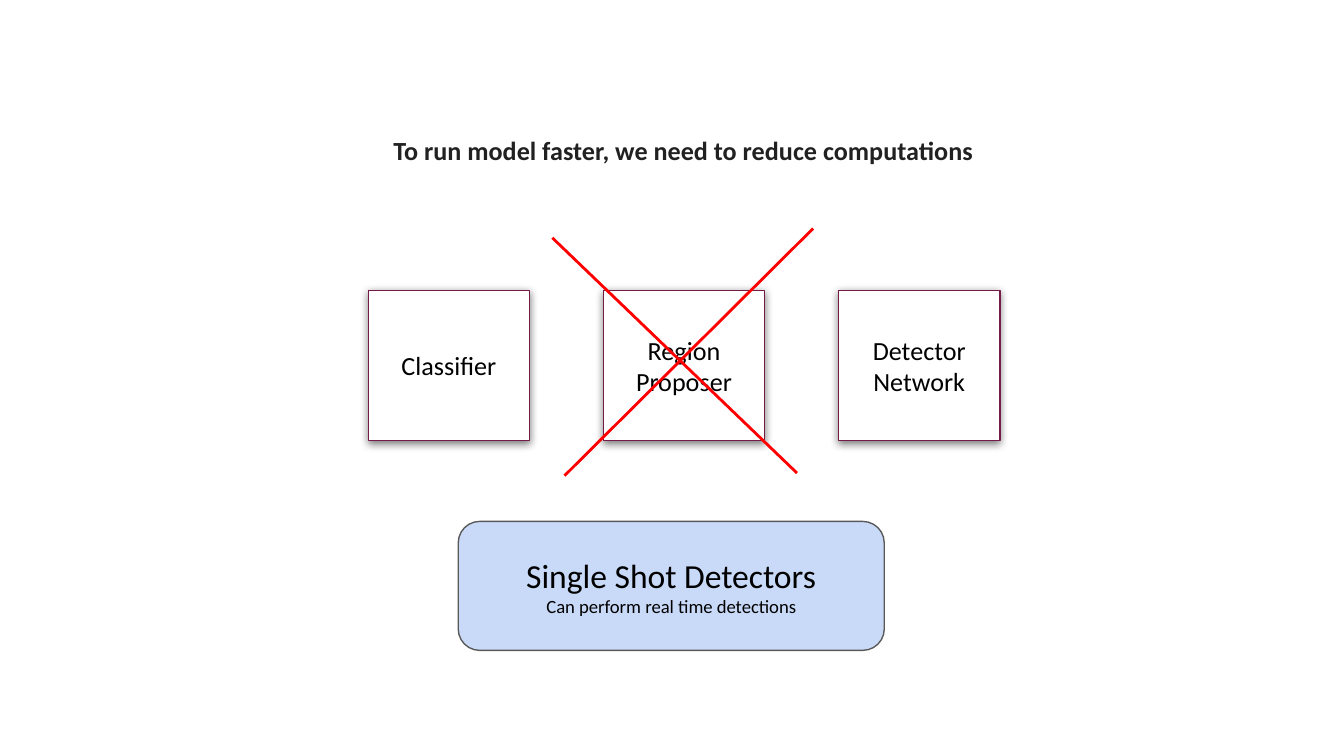
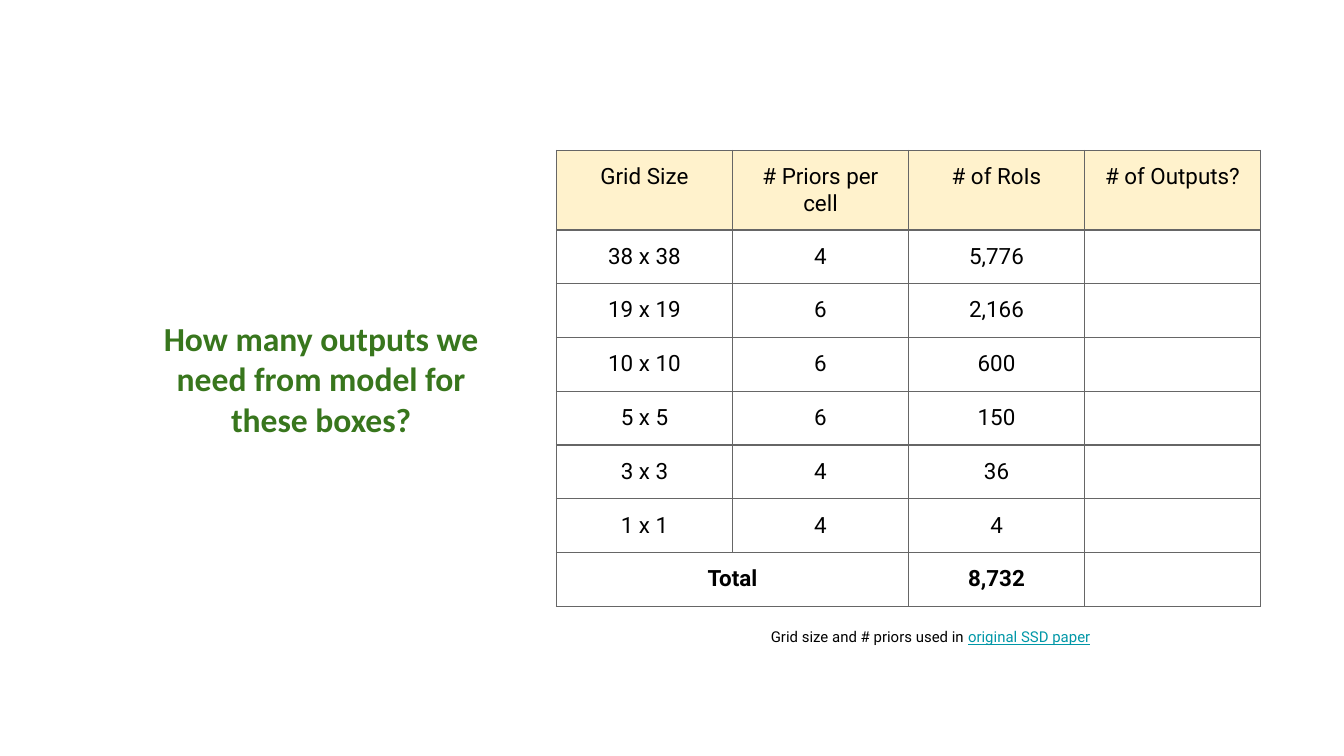
"""Build two slides on single shot detectors and their output count."""
from lxml.etree import SubElement
from pptx import Presentation
from pptx.dml.color import RGBColor
from pptx.enum.shapes import MSO_CONNECTOR as Link, MSO_SHAPE as Shape
from pptx.enum.text import MSO_ANCHOR as Anchor, MSO_AUTO_SIZE as Fit, PP_ALIGN as Align
from pptx.oxml.ns import qn
from pptx.util import Inches, Pt

HUES = {
    "ink": "000000", "head": "212121", "green": "38761D", "link": "0097A7",
    "white": "FFFFFF", "plum": "741B47", "blue": "C9DAF8", "gray": "595959",
    "red": "FF0000", "cream": "FFF2CC", "grid": "666666",
}
SANS, ROBOTO = "Calibri", "Roboto"

FASTER = "To run model faster, we need to reduce computations"
STAGES = ["Classifier", "Region Proposer", "Detector Network"]
CROSS = [((4.11, 1.77), (5.93, 3.52)), ((6.05, 1.7), (4.2, 3.54))]
ANSWER = [("Single Shot Detectors", 18), ("Can perform real time detections", 10)]

ASK = "How many outputs we need from model for these boxes?"
ROWS = [
    ("Grid Size", "# Priors per cell", "# of RoIs", "# of Outputs?"),
    ("38 x 38", "4", "5,776", ""),
    ("19 x 19", "6", "2,166", ""),
    ("10 x 10", "6", "600", ""),
    ("5 x 5", "6", "150", ""),
    ("3 x 3", "4", "36", ""),
    ("1 x 1", "4", "4", ""),
    ("Total", "", "8,732", ""),
]
NOTE = ("Grid size and # priors used in ", "original SSD paper")


def hue(name):
    return RGBColor.from_string(HUES[name])


def box(nums):
    return [Inches(n) for n in nums]


def style(run, size, face, color="ink", bold=False):
    font = run.font
    font.size, font.name, font.bold = Pt(size), face, bold
    font.color.rgb = hue(color)


def pad(frame, anchor=Anchor.MIDDLE):
    frame.margin_left = frame.margin_right = Inches(0.1)
    frame.margin_top = frame.margin_bottom = Inches(0.1)
    frame.word_wrap, frame.auto_size = True, Fit.NONE
    frame.vertical_anchor = anchor


def write(frame, lines, face, color="ink", bold=False):
    frame.text = "\n".join(text for text, _ in lines)
    for para, (_, size) in zip(frame.paragraphs, lines):
        para.alignment = Align.CENTER
        for run in para.runs:
            style(run, size, face, color, bold)


def start(deck, text, place, size, color):
    slide = deck.slides.add_slide(deck.slide_layouts[5])
    title = slide.shapes.title
    title.left, title.top, title.width, title.height = box(place)
    pad(title.text_frame)
    write(title.text_frame, [(text, size)], SANS, color, True)
    return slide


def panel(slide, kind, place, fill, edge, lines):
    shape = slide.shapes.add_shape(kind, *box(place))
    shape.shadow.inherit = False
    shape.fill.solid()
    shape.fill.fore_color.rgb = hue(fill)
    shape.line.color.rgb = hue(edge)
    shape.line.width = Pt(0.75)
    pad(shape.text_frame)
    write(shape.text_frame, lines, SANS)
    return shape


def shade(shape):
    glow = SubElement(shape._element.spPr.find(qn("a:effectLst")), qn("a:outerShdw"),
                      blurRad=str(Pt(4.5)), dist=str(Pt(1.5)), dir="5400000",
                      algn="bl", rotWithShape="0")
    tint = SubElement(glow, qn("a:srgbClr"), val=HUES["ink"])
    SubElement(tint, qn("a:alpha"), val="50000")


def strike(slide, head, tail):
    line = slide.shapes.add_connector(Link.STRAIGHT, *box(head + tail))
    line.line.color.rgb = hue("red")
    line.line.width = Pt(1.5)
    SubElement(line._element.spPr, qn("a:effectLst"))


def frame_cell(cell):
    props = cell._tc.get_or_add_tcPr()
    for side in "LRTB":
        edge = SubElement(props, qn(f"a:ln{side}"), w=str(Pt(0.75)))
        fill = SubElement(edge, qn("a:solidFill"))
        SubElement(fill, qn("a:srgbClr"), val=HUES["grid"])


def fill_cell(cell, text, first, last):
    frame_cell(cell)
    if first:
        cell.fill.solid()
        cell.fill.fore_color.rgb = hue("cream")
    else:
        cell.fill.background()
    cell.margin_left = cell.margin_right = Inches(0.1)
    cell.margin_top = cell.margin_bottom = Inches(0.1)
    if text:
        write(cell.text_frame, [(text, 12)], ROBOTO, bold=last)
    else:
        para = cell.text_frame.paragraphs[0]
        end = SubElement(para._p, qn("a:endParaRPr"), sz="1200")
        SubElement(end, qn("a:latin"), typeface=ROBOTO)


def grid(slide):
    count, wide = len(ROWS), len(ROWS[0])
    highs = [0.32] + [0.4] * (count - 1)
    place = box((4.14, 1.12, 1.31 * wide, sum(highs)))
    table = slide.shapes.add_table(count, wide, *place).table
    table.first_row = table.horz_banding = False
    for col in table.columns:
        col.width = Inches(1.31)
    for r, (row, high) in enumerate(zip(ROWS, highs)):
        table.rows[r].height = Inches(high)
        for c, text in enumerate(row):
            fill_cell(table.cell(r, c), text, r == 0, r == count - 1)
    table.cell(count - 1, 0).merge(table.cell(count - 1, 1))


def note(slide):
    frame = slide.shapes.add_textbox(*box((5.22, 4.57, 3.41, 0.62))).text_frame
    pad(frame, Anchor.TOP)
    para = frame.paragraphs[0]
    para.alignment = Align.CENTER
    for text, color in zip(NOTE, ("ink", "link")):
        run = para.add_run()
        run.text = text
        style(run, 8, ROBOTO, color)
    run.font.underline = True


def main():
    deck = Presentation()
    deck.slide_width, deck.slide_height = Inches(10), Inches(10 * 9 / 16)

    slide = start(deck, FASTER, (2.54, 0.79, 5.09, 0.65), 14, "head")
    panel(slide, Shape.ROUNDED_RECTANGLE, (3.41, 3.88, 3.17, 0.96), "blue", "gray", ANSWER)
    for i, name in enumerate(STAGES):
        place = (2.74 + 1.75 * i, 2.16, 1.2, 1.12)
        shade(panel(slide, Shape.RECTANGLE, place, "white", "plum", [(name, 14)]))
    for head, tail in CROSS:
        strike(slide, head, tail)

    slide = start(deck, ASK, (0.92, 1.66, 2.94, 2.31), 18, "green")
    grid(slide)
    note(slide)
    deck.save("out.pptx")


if __name__ == "__main__":
    main()
